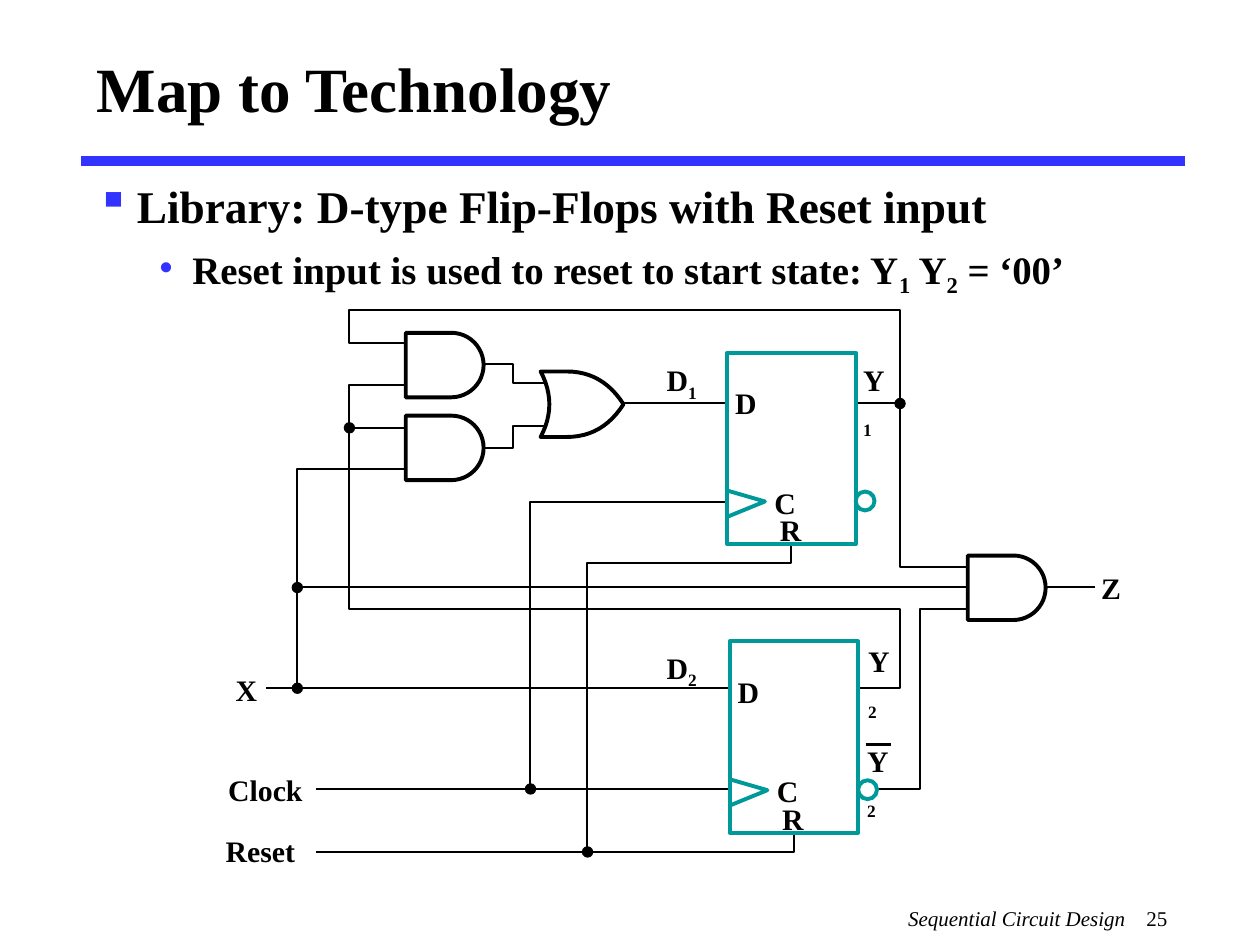
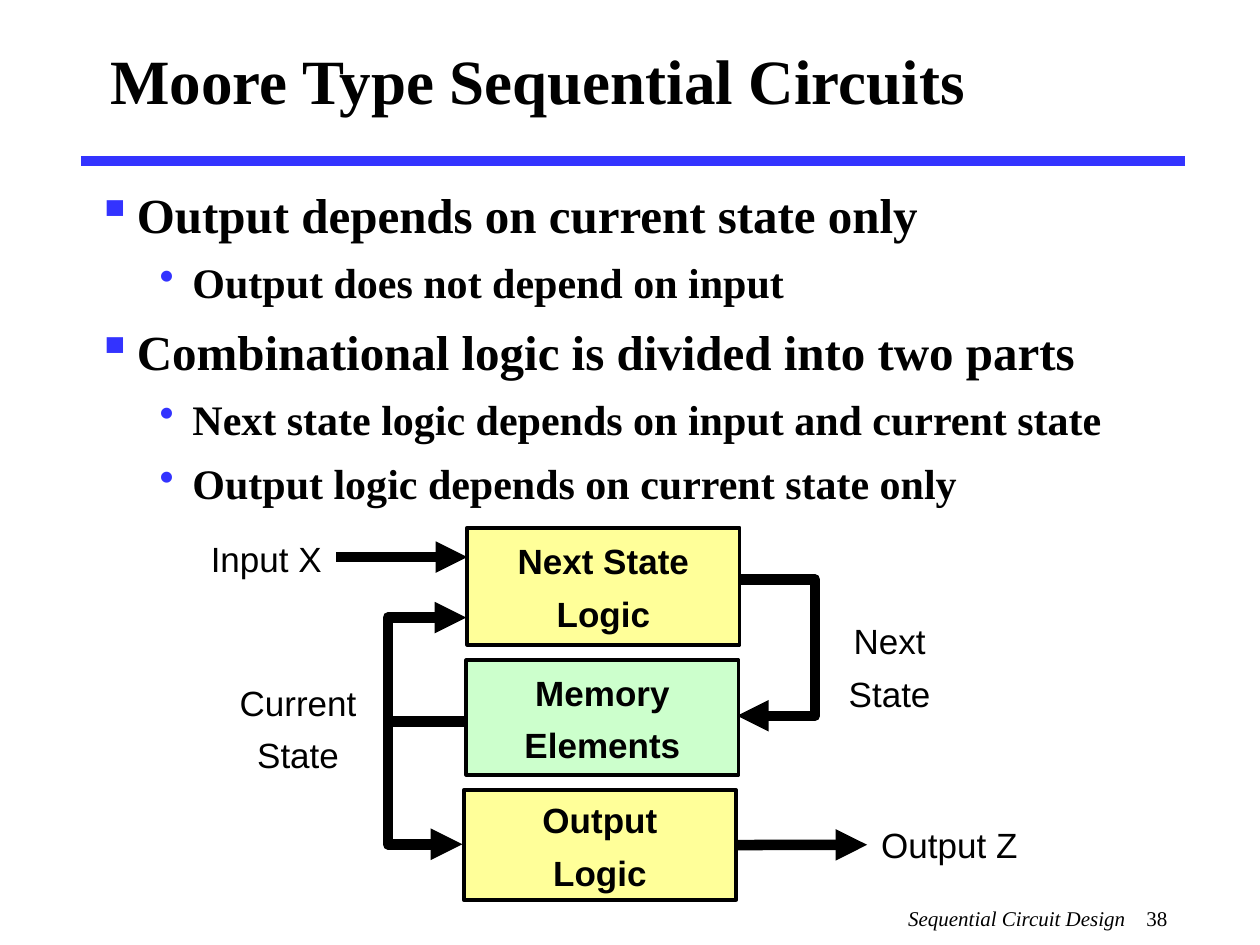
"""Builds two slides on sequential circuit design."""
from math import cos, pi, sin

from lxml import etree
from pptx import Presentation
from pptx.dml.color import RGBColor
from pptx.enum.shapes import MSO_CONNECTOR, MSO_SHAPE
from pptx.enum.text import MSO_ANCHOR, PP_ALIGN
from pptx.oxml.ns import qn
from pptx.util import Cm, Pt

RECT, OVAL = MSO_SHAPE.RECTANGLE, MSO_SHAPE.OVAL
LINE = MSO_CONNECTOR.STRAIGHT
TOP, MID = MSO_ANCHOR.TOP, MSO_ANCHOR.MIDDLE
LEFT, CENTRE = PP_ALIGN.LEFT, PP_ALIGN.CENTER
HUES = {"ink": "000000", "paper": "FFFFFF", "blue": "3333FF",
        "teal": "009999", "lemon": "FFFF99", "mint": "CCFFCC"}
HUE = {name: RGBColor.from_string(code) for name, code in HUES.items()}
SERIF, SANS = "Times New Roman", "Arial"
BULLETS = [("▪", 0.81, -0.81, 7), ("•", 1.93, -0.66, 6)]


def put(slide, text, x, y, w, h, size=17, font=SERIF, bold=True, italic=False,
        align=LEFT, anchor=TOP, pad=(0, 0), gap=0, fill=None, levels=None,
        sizes=None, tab=None):
    """Add text; newlines part paragraphs, bars switch subscript on and off."""
    place = Cm(x), Cm(y), Cm(w), Cm(h)
    if fill:
        box = slide.shapes.add_shape(RECT, *place)
        box.shadow.inherit = False
        box.fill.solid()
        box.fill.fore_color.rgb = HUE[fill]
        box.line.color.rgb = HUE["ink"]
        box.line.width = Pt(2.25)
    else:
        box = slide.shapes.add_textbox(*place)
    frame = box.text_frame
    frame.word_wrap = True
    frame.vertical_anchor = anchor
    frame.margin_left = frame.margin_right = Cm(pad[0])
    frame.margin_top = frame.margin_bottom = Cm(pad[1])
    for i, line in enumerate(text.split("\n")):
        para = frame.paragraphs[0] if i == 0 else frame.add_paragraph()
        props = para._p.get_or_add_pPr()
        space, points = gap, size
        if levels:
            mark, left, first, space = BULLETS[levels[i]]
            points = sizes[levels[i]]
            props.set("lvl", str(levels[i]))
            props.set("marL", str(Cm(left)))
            props.set("indent", str(Cm(first)))
            tint = etree.SubElement(props, qn("a:buClr"))
            etree.SubElement(tint, qn("a:srgbClr"), val=HUES["blue"])
            etree.SubElement(props, qn("a:buChar"), char=mark)
        if tab:
            stops = etree.SubElement(props, qn("a:tabLst"))
            etree.SubElement(stops, qn("a:tab"), pos=str(Cm(tab)), algn="l")
        para.alignment = align
        para.line_spacing = 1.05
        if i:
            para.space_before = Pt(space)
        for j, piece in enumerate(line.split("|")):
            run = para.add_run()
            run.text = piece
            run.font.size = Pt(points)
            run.font.name = font
            run.font.bold = bold
            run.font.italic = italic
            run.font.color.rgb = HUE["ink"]
            if j % 2:
                run.font._element.set("baseline", "-25000")
    return box


def draw(slide, points, width=1.13, hue="ink", fill=None, arrow=False):
    """Join points: a connector for two, else a freeform, closed if filled."""
    spots = [(Cm(x), Cm(y)) for x, y in points]
    if len(spots) == 2:
        shape = slide.shapes.add_connector(LINE, *spots[0], *spots[1])
        etree.SubElement(shape._element.spPr, qn("a:effectLst"))
    else:
        path = slide.shapes.build_freeform(*spots[0], scale=1.0)
        path.add_line_segments(spots[1:], close=bool(fill))
        shape = path.convert_to_shape()
        shape.shadow.inherit = False
        if fill:
            shape.fill.solid()
            shape.fill.fore_color.rgb = HUE[fill]
        else:
            shape.fill.background()
    shape.line.color.rgb = HUE[hue]
    shape.line.width = Pt(width)
    if arrow:
        stroke = shape.line._get_or_add_ln()
        etree.SubElement(stroke, qn("a:round"))
        etree.SubElement(stroke, qn("a:tailEnd"), type="triangle")
    return shape


deck = Presentation()
deck.slide_width, deck.slide_height = Cm(25.4), Cm(19.05)

pages = [
    (25, "Map to Technology", (1.7, 0.3), 3.4, 2.74, (25.9, 22.2), (0, 1),
     "Library: D-type Flip-Flops with Reset input\n"
     "Reset input is used to reset to start state: Y|1| Y|2| = ‘00’"),
    (38, "Moore Type Sequential Circuits", (1.98, 0.15), 3.53, 14.76, (28, 24),
     (0, 1, 0, 1, 1),
     "Output depends on current state only\n"
     "Output does not depend on input\n"
     "Combinational logic is divided into two parts\n"
     "Next state logic depends on input and current state\n"
     "Output logic depends on current state only"),
]
slides = []
for number, title, spot, top, tall, sizes, levels, body in pages:
    slide = deck.slides.add_slide(deck.slide_layouts[6])
    slides.append(slide)
    draw(slide, [(1.63, 3.25), (23.88, 3.25)], 6, "blue")
    foot = put(slide, "Sequential Circuit Design\t", 18.06, 18.11, 5.92, 0.94,
               size=12, bold=False, italic=True, pad=(0.25, 0.13), tab=4.8)
    page = foot.text_frame.paragraphs[0].add_run()
    page.text = str(number)
    page.font.size, page.font.name = Pt(12), SERIF
    page.font.color.rgb = HUE["ink"]
    put(slide, title, *spot, 22, 2.84, size=36, anchor=MID, pad=(0.25, 0.13))
    put(slide, body, 1.7, top, 22.12, tall, pad=(0.25, 0.13), levels=levels,
        sizes=sizes)
circuit, moore = slides

wires = [
    [(8.99, 6.91), (7.04, 6.91), (7.04, 6.25), (18.14, 6.25), (18.14, 11.43),
     (20.19, 11.43)],
    [(8.99, 7.77), (7.04, 7.77), (7.04, 12.27), (18.14, 12.27), (18.14, 13.87),
     (5.36, 13.87)],
    [(19.94, 12.27), (18.54, 12.27), (18.54, 15.9), (6.38, 15.9)],
    [(16, 15.27), (16, 17.17), (6.38, 17.17)],
    [(8.53, 9.45), (5.99, 9.45), (5.99, 13.87)],
    [(5.99, 11.84), (22.07, 11.84)],
    [(7.04, 8.62), (8.64, 8.62)],
    [(8.61, 7.34), (10.34, 7.34), (10.34, 7.72), (11.38, 7.72)],
    [(8.61, 9.04), (10.34, 9.04), (10.34, 8.59), (11.38, 8.59)],
    [(18.14, 8.13), (11.63, 8.13)],
    [(16.1, 10.13), (10.69, 10.13), (10.69, 15.9)],
    [(11.84, 17.17), (11.84, 11.35), (15.95, 11.35), (15.95, 10.31)],
]
for wire in wires:
    draw(circuit, wire)

flops = [(14.66, 7.11), (14.71, 12.93)]
dots = [(7.04, 8.62), (5.99, 11.84), (5.99, 13.87), (10.69, 15.9),
        (18.14, 8.13), (11.84, 17.17)]
forms = [(RECT, x, y, 2.59, 3.86, "paper", "teal") for x, y in flops]
forms += [(OVAL, x + 2.59, y + 2.8, 0.38, 0.38, "paper", "teal")
          for x, y in flops]
forms += [(OVAL, x - 0.11, y - 0.11, 0.23, 0.23, "ink", None) for x, y in dots]
for kind, x, y, w, h, fill, edge in forms:
    form = circuit.shapes.add_shape(kind, Cm(x), Cm(y), Cm(w), Cm(h))
    form.shadow.inherit = False
    form.fill.solid()
    form.fill.fore_color.rgb = HUE[fill]
    if edge:
        form.line.color.rgb = HUE[edge]
        form.line.width = Pt(2.25)
    else:
        form.line.fill.background()

turns = [pi * i / 24 - pi / 2 for i in range(25)]
nose = [(0.92 + 0.65 * cos(t), 0.65 + 0.65 * sin(t)) for t in turns]
for x, y in [(19.51, 11.2), (8.18, 8.38), (8.18, 6.71)]:
    edge = [(0, 0), *nose, (0, 1.3)]
    draw(circuit, [(x + a, y + b) for a, b in edge], 2.25, fill="paper")

steps = [i / 12 for i in range(13)]
upper = [((1 - t) ** 2 * 0.53 + 2 * t * (1 - t) * 1.25 + t * t * 1.67,
          t * t * 0.66) for t in steps]
lower = [(a, 1.32 - b) for a, b in reversed(upper)]
back = [(0.7 * t * (1 - t), 1.32 * (1 - t)) for t in steps]
draw(circuit, [(10.9 + a, 7.49 + b) for a, b in upper + lower + back], 2.25,
     fill="paper")

labels = [
    ("Clock", 4.6, 15.52, 1.7), ("Reset", 4.55, 16.76, 1.7),
    ("X", 4.75, 13.51, 0.5), ("Z", 22.2, 11.46, 0.5),
    ("D|1", 13.44, 7.26, 0.64), ("D|2", 13.44, 13.06, 0.64),
    ("Y|1", 17.4, 7.26, 0.58), ("Y|2", 17.5, 12.93, 0.58),
    ("Y|2", 17.48, 14.94, 0.58),
]
for x, y in flops:
    draw(circuit, [(x, y + 2.78), (x + 0.76, y + 3), (x, y + 3.31)], 2.25,
         "teal")
    labels += [("D", x + 0.16, y + 0.62, 0.5), ("C", x + 0.95, y + 2.62, 0.5),
               ("R", x + 1.06, y + 3.18, 0.5)]
for text, x, y, w in labels:
    put(circuit, text, x, y, w, 0.75)
draw(circuit, [(17.45, 15.01), (17.96, 15.01)], 1.5)

blocks = [
    ("Next State\nLogic", 9.42, 10.64, 2.36, "lemon"),
    ("Memory\nElements", 9.4, 13.31, 2.31, "mint"),
    ("Output\nLogic", 9.35, 15.93, 2.21, "lemon"),
]
for text, x, y, h, fill in blocks:
    block = put(moore, text, x, y, 5.49, h, size=20, font=SANS, align=CENTRE,
                anchor=MID, gap=5, fill=fill)

flows = [
    [(6.78, 11.23), (9.42, 11.23)],
    [(14.91, 11.68), (16.43, 11.68), (16.43, 14.43), (14.86, 14.43)],
    [(9.35, 14.55), (7.82, 14.55), (7.82, 12.45), (9.4, 12.45)],
    [(7.82, 14.55), (7.82, 17.02), (9.32, 17.02)],
    [(14.84, 17.03), (17.48, 17.03)],
]
for flow in flows:
    arrow = draw(moore, flow, 6, arrow=True)
arrow.begin_connect(block, 3)

notes = [
    ("Input X", 4.06, 10.8, 2.62, 0.84),
    ("Output Z", 17.58, 16.56, 3.12, 0.84),
    ("Next\nState", 16.69, 12.45, 2.49, 1.88),
    ("Current\nState", 4.45, 13.69, 3.12, 1.88),
]
for text, x, y, w, h in notes:
    put(moore, text, x, y, w, h, size=20, font=SANS, bold=False, align=CENTRE,
        gap=5)

deck.save("out.pptx")
